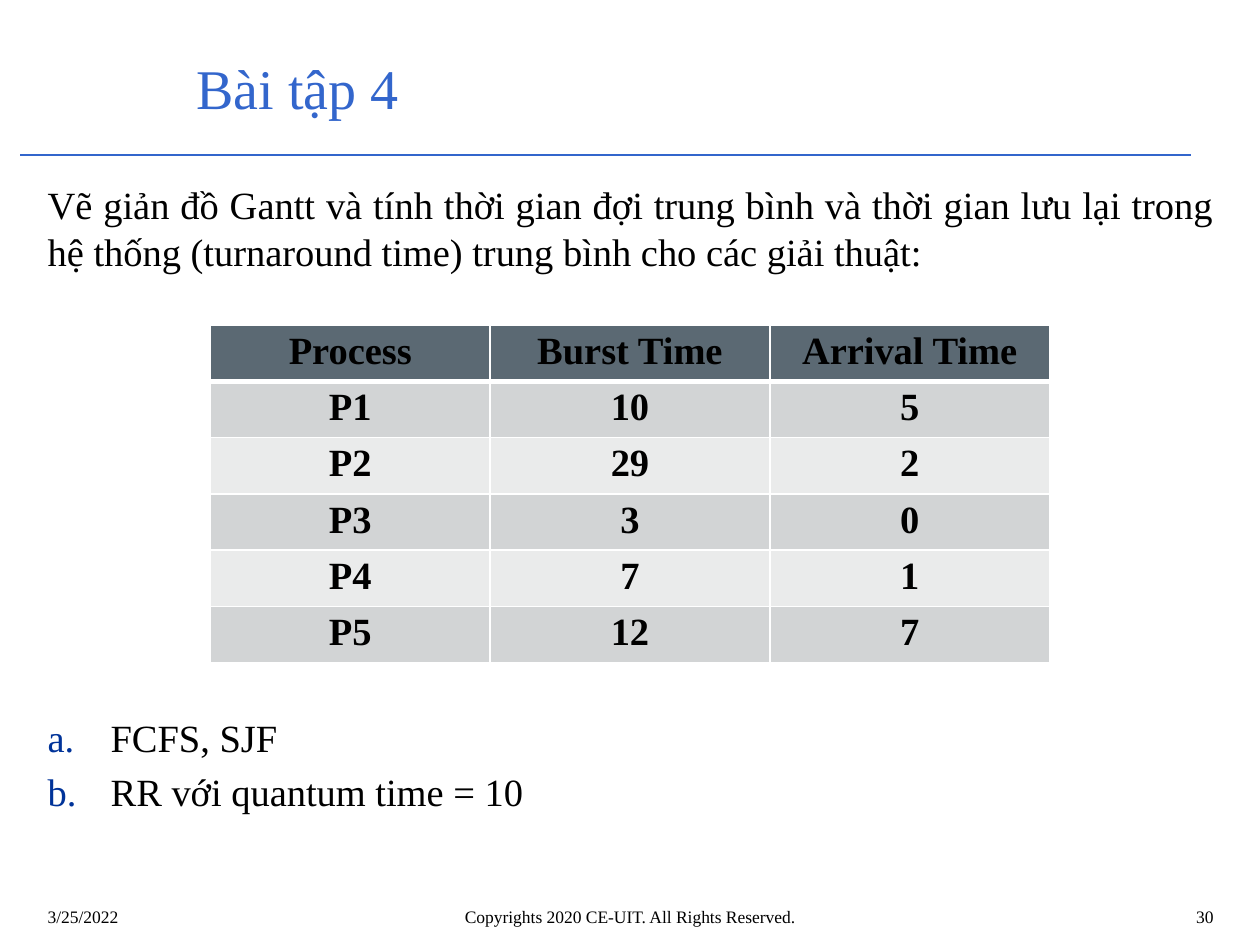
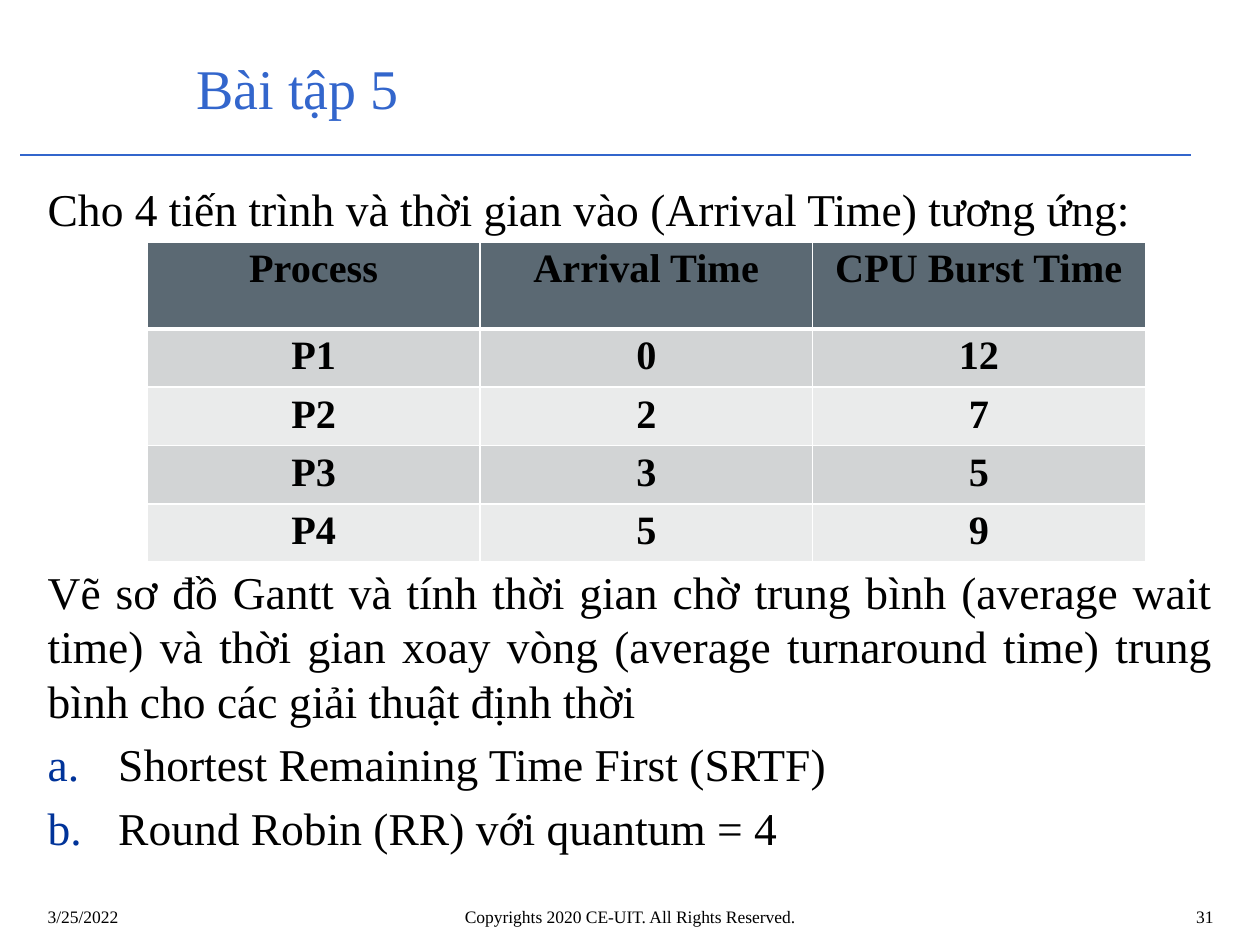
import pptx
import pptx.util
import pptx.dml.color
import pptx.enum.shapes
import pptx.enum.text
import pptx.oxml
from pptx.oxml.ns import nsdecls, qn
from pptx.util import Inches

FONT = "Times New Roman"
COLORS = {
    "title": "3366CC",
    "text": "000000",
    "number": "003399",
    "paper": "FFFFFF",
    "header": "5B6973",
    "odd": "D2D4D5",
    "even": "EAEBEB",
}
ALIGN = pptx.enum.text.PP_ALIGN

EXERCISES = [
    {
        "title": "Bài tập 4",
        "page": "30",
        "size": 22,
        "indent": 0.5,
        # Each entry: text, numbered, extra space before in points
        "body": [
            ("Vẽ giản đồ Gantt và tính thời gian đợi trung bình và thời gian lưu lại "
             "trong hệ thống (turnaround time) trung bình cho các giải thuật:", False, 0),
            ("FCFS, SJF", True, 247),
            ("RR với quantum time = 10", True, 0),
        ],
        "table_at": (1.67, 2.58),
        "column": 2.22,
        "header_height": 0.44,
        "row_height": 0.44,
        "table_size": 22,
        "rows": [
            ("Process", "Burst Time", "Arrival Time"),
            ("P1", "10", "5"),
            ("P2", "29", "2"),
            ("P3", "3", "0"),
            ("P4", "7", "1"),
            ("P5", "12", "7"),
        ],
    },
    {
        "title": "Bài tập 5",
        "page": "31",
        "size": 26,
        "indent": 0.56,
        "body": [
            ("Cho 4 tiến trình và thời gian vào (Arrival Time) tương ứng:", False, 0),
            ("Vẽ sơ đồ Gantt và tính thời gian chờ trung bình (average wait time) và "
             "thời gian xoay vòng (average turnaround time) trung bình cho các giải "
             "thuật định thời", False, 182),
            ("Shortest Remaining Time First (SRTF)", True, 0),
            ("Round Robin (RR) với quantum = 4", True, 0),
        ],
        "table_at": (1.17, 1.92),
        "column": 2.64,
        "header_height": 0.69,
        "row_height": 0.45,
        "table_size": 23,
        "rows": [
            ("Process", "Arrival Time", "CPU Burst Time"),
            ("P1", "0", "12"),
            ("P2", "2", "7"),
            ("P3", "3", "5"),
            ("P4", "5", "9"),
        ],
    },
]


def rgb(name):
    return pptx.dml.color.RGBColor.from_string(COLORS[name])


def write(paragraph, text, size, align, color="text", bold=False):
    paragraph.text = text
    paragraph.alignment = align
    for run in paragraph.runs:
        run.font.name = FONT
        run.font.size = pptx.util.Pt(size)
        run.font.bold = bold
        run.font.color.rgb = rgb(color)


prs = pptx.Presentation()
prs.slide_width = Inches(10)
prs.slide_height = Inches(7.5)

for exercise in EXERCISES:
    slide = prs.slides.add_slide(prs.slide_layouts[5])

    # Translucent title band, behind everything
    band = slide.shapes.add_shape(
        pptx.enum.shapes.MSO_SHAPE.RECTANGLE,
        Inches(0), Inches(0.05), Inches(9.45), Inches(1.42))
    band.shadow.inherit = False
    band.line.fill.background()
    band.fill.solid()
    band.fill.fore_color.rgb = rgb("paper")
    band_color = band.fill._xPr.find(".//" + qn("a:srgbClr"))
    band_color.append(pptx.oxml.parse_xml(f'<a:alpha {nsdecls("a")} val="60000"/>'))
    slide.shapes._spTree.insert(2, band._element)

    # Rule under the title
    rule = slide.shapes.add_connector(
        pptx.enum.shapes.MSO_CONNECTOR.STRAIGHT,
        Inches(0.16), Inches(1.23), Inches(9.45), Inches(1.23))
    rule.line.color.rgb = rgb("title")
    rule.line.width = pptx.util.Pt(0.75)
    rule._element.spPr.append(pptx.oxml.parse_xml(f'<a:effectLst {nsdecls("a")}/>'))

    # Title
    title = slide.shapes.title
    title.left, title.top = Inches(1.46), Inches(0.31)
    title.width, title.height = Inches(8.04), Inches(0.76)
    title.text_frame.vertical_anchor = pptx.enum.text.MSO_ANCHOR.MIDDLE
    write(title.text_frame.paragraphs[0], exercise["title"], 32, ALIGN.LEFT, "title")

    # Task text, with room left for the table
    task = slide.shapes.add_textbox(
        Inches(0.28), Inches(1.39), Inches(9.45), Inches(5.75)).text_frame
    task.word_wrap = True
    for index, (text, numbered, gap) in enumerate(exercise["body"]):
        paragraph = task.add_paragraph() if index else task.paragraphs[0]
        write(paragraph, text, exercise["size"], ALIGN.JUSTIFY)
        paragraph.space_before = pptx.util.Pt(0.2 * exercise["size"] + gap)
        if numbered:
            props = paragraph._p.get_or_add_pPr()
            props.set("marL", str(Inches(exercise["indent"])))
            props.set("indent", str(-Inches(exercise["indent"])))
            for bullet in (
                f'<a:buClr {nsdecls("a")}><a:srgbClr val="{COLORS["number"]}"/></a:buClr>',
                f'<a:buFont {nsdecls("a")} typeface="{FONT}"/>',
                f'<a:buAutoNum {nsdecls("a")} type="alphaLcPeriod"/>',
            ):
                props.append(pptx.oxml.parse_xml(bullet))

    # Footer: date, copyright, page
    for text, left, width, align in (
        ("3/25/2022", 0.28, 2.33, ALIGN.LEFT),
        ("Copyrights 2020 CE-UIT. All Rights Reserved.", 1.93, 6.14, ALIGN.CENTER),
        (exercise["page"], 7.81, 1.92, ALIGN.RIGHT),
    ):
        footer = slide.shapes.add_textbox(
            Inches(left), Inches(7.14), Inches(width), Inches(0.32)).text_frame
        footer.word_wrap = True
        write(footer.paragraphs[0], text, 10, align)

    # Process table
    rows = exercise["rows"]
    left, top = exercise["table_at"]
    height = exercise["header_height"] + exercise["row_height"] * (len(rows) - 1)
    processes = slide.shapes.add_table(
        len(rows), 3, Inches(left), Inches(top),
        Inches(3 * exercise["column"]), Inches(height)).table
    for column in processes.columns:
        column.width = Inches(exercise["column"])
    for r, values in enumerate(rows):
        processes.rows[r].height = Inches(exercise["row_height" if r else "header_height"])
        for c, value in enumerate(values):
            cell = processes.cell(r, c)
            cell.margin_top = cell.margin_bottom = Inches(0.04)
            write(cell.text_frame.paragraphs[0], value, exercise["table_size"],
                  ALIGN.CENTER, bold=True)
            # White borders, thicker between header and body
            for side in "LRTB":
                thick = (r, side) in ((0, "B"), (1, "T"))
                cell._tc.get_or_add_tcPr().append(pptx.oxml.parse_xml(
                    f'<a:ln{side} {nsdecls("a")} w="{pptx.util.Pt(3 if thick else 1)}">'
                    f'<a:solidFill><a:srgbClr val="{COLORS["paper"]}"/></a:solidFill>'
                    f'</a:ln{side}>'))
            cell.fill.solid()
            cell.fill.fore_color.rgb = rgb(
                "header" if r == 0 else "odd" if r % 2 else "even")

prs.save("out.pptx")
